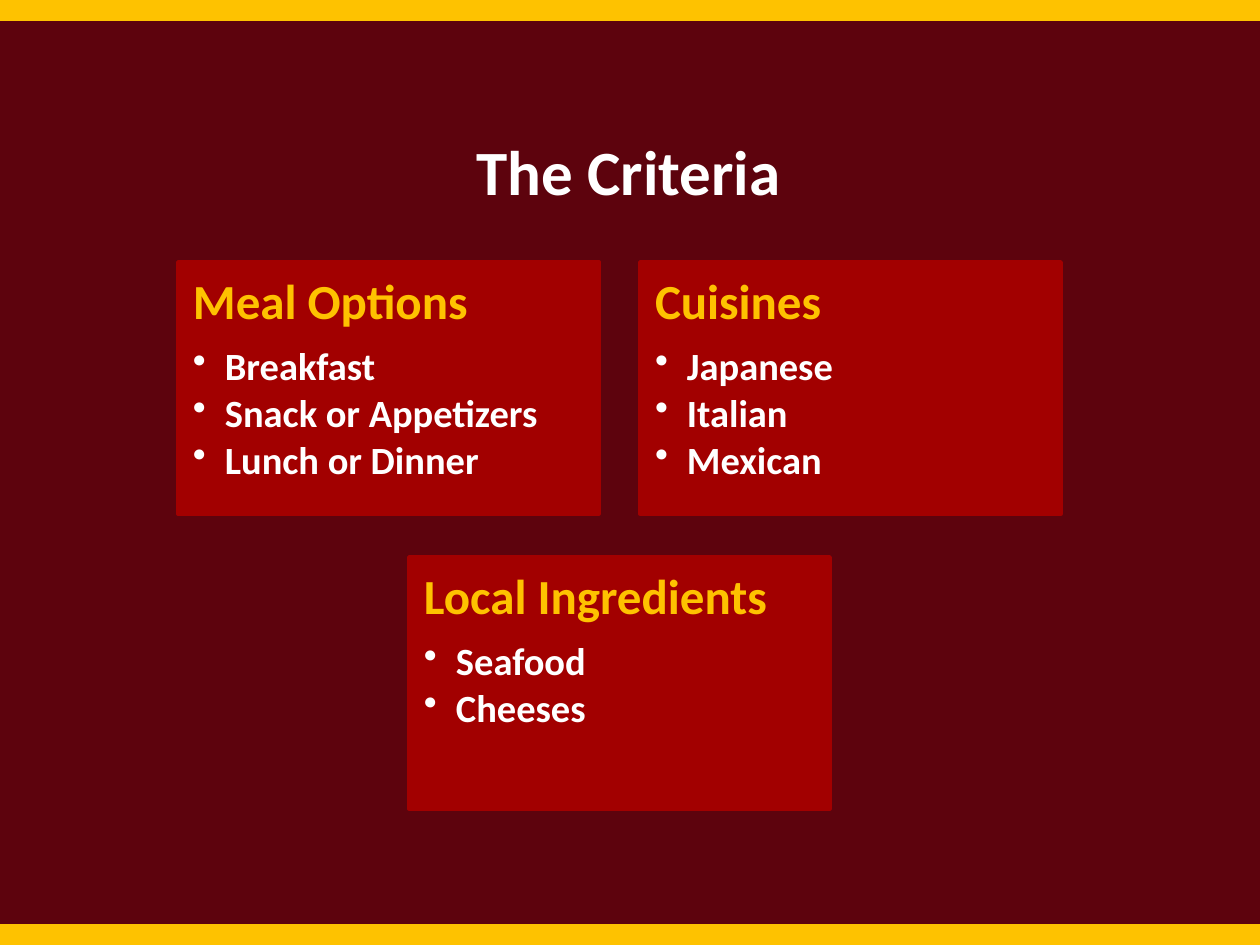
from pptx import Presentation
from pptx.dml.color import RGBColor
from pptx.enum.shapes import MSO_SHAPE
from pptx.enum.text import MSO_ANCHOR, PP_ALIGN
from pptx.oxml.ns import qn
from pptx.util import Pt
from lxml.etree import SubElement

TITLE = "The Criteria"
CARDS = [
    ("Meal Options", ["Breakfast", "Snack or Appetizers", "Lunch or Dinner"]),
    ("Cuisines", ["Japanese", "Italian", "Mexican"]),
    ("Local Ingredients", ["Seafood", "Cheeses"]),
]

MAROON = RGBColor(0x5D, 0x03, 0x0D)
RED = RGBColor(0xA2, 0x00, 0x00)
GOLD = RGBColor(0xFE, 0xC2, 0x00)
WHITE = RGBColor(0xFF, 0xFF, 0xFF)

PX = 914400 / 126
WIDE, HIGH, BAR = 1260, 945, 21
LEFT, TOP = 178, 262
CARD_W, CARD_H = 421, 252
GAP_X, GAP_Y = 41, 43
COLS = 2
PAD, INDENT = 15, 32


def px(n):
    return round(n * PX)


def style(font, size, color):
    font.name = "Calibri"
    font.size = Pt(size)
    font.bold = True
    font.color.rgb = color


def add_box(slide, x, y, w, h, color):
    box = slide.shapes.add_shape(MSO_SHAPE.RECTANGLE, px(x), px(y), px(w), px(h))
    box.shadow.inherit = False
    box.fill.solid()
    box.fill.fore_color.rgb = color
    box.line.fill.background()
    return box


def add_bullet(para):
    props = para._p.get_or_add_pPr()
    props.set("marL", str(px(INDENT)))
    props.set("indent", str(-px(INDENT)))
    SubElement(props, qn("a:buChar")).set("char", "•")


def add_card(slide, x, y, head, items):
    card = add_box(slide, x, y, CARD_W, CARD_H, RED)
    card.line.color.rgb = RED
    card.line.width = Pt(2)
    frame = card.text_frame
    frame.word_wrap = True
    frame.vertical_anchor = MSO_ANCHOR.TOP
    frame.margin_left = frame.margin_right = px(PAD)
    frame.margin_top = frame.margin_bottom = px(PAD)
    frame.text = "\n".join([head] + items)
    for i, para in enumerate(frame.paragraphs):
        para.alignment = PP_ALIGN.LEFT
        para.line_spacing = 0.9
        para.space_after = Pt(3 if i else 10)
        if i:
            para.level = 1
            add_bullet(para)
        style(para.runs[0].font, 22 if i else 28, WHITE if i else GOLD)


def main():
    deck = Presentation()
    deck.slide_width, deck.slide_height = px(WIDE), px(HIGH)
    slide = deck.slides.add_slide(deck.slide_layouts[5])
    slide.background.fill.solid()
    slide.background.fill.fore_color.rgb = MAROON

    for y in (0, HIGH - BAR):
        add_box(slide, 0, y, WIDE, BAR, GOLD)

    title = slide.shapes.title
    title.left, title.top, title.width, title.height = map(px, (30, 126, 1197, 89))
    frame = title.text_frame
    frame.text = TITLE
    frame.vertical_anchor = MSO_ANCHOR.TOP
    frame.paragraphs[0].alignment = PP_ALIGN.CENTER
    style(frame.paragraphs[0].runs[0].font, 36, WHITE)

    step = CARD_W + GAP_X
    for i, (head, items) in enumerate(CARDS):
        row, col = divmod(i, COLS)
        count = min(COLS, len(CARDS) - row * COLS)
        x = LEFT + (COLS - count) * step / 2 + col * step
        add_card(slide, x, TOP + row * (CARD_H + GAP_Y), head, items)

    deck.save("out.pptx")


if __name__ == "__main__":
    main()
